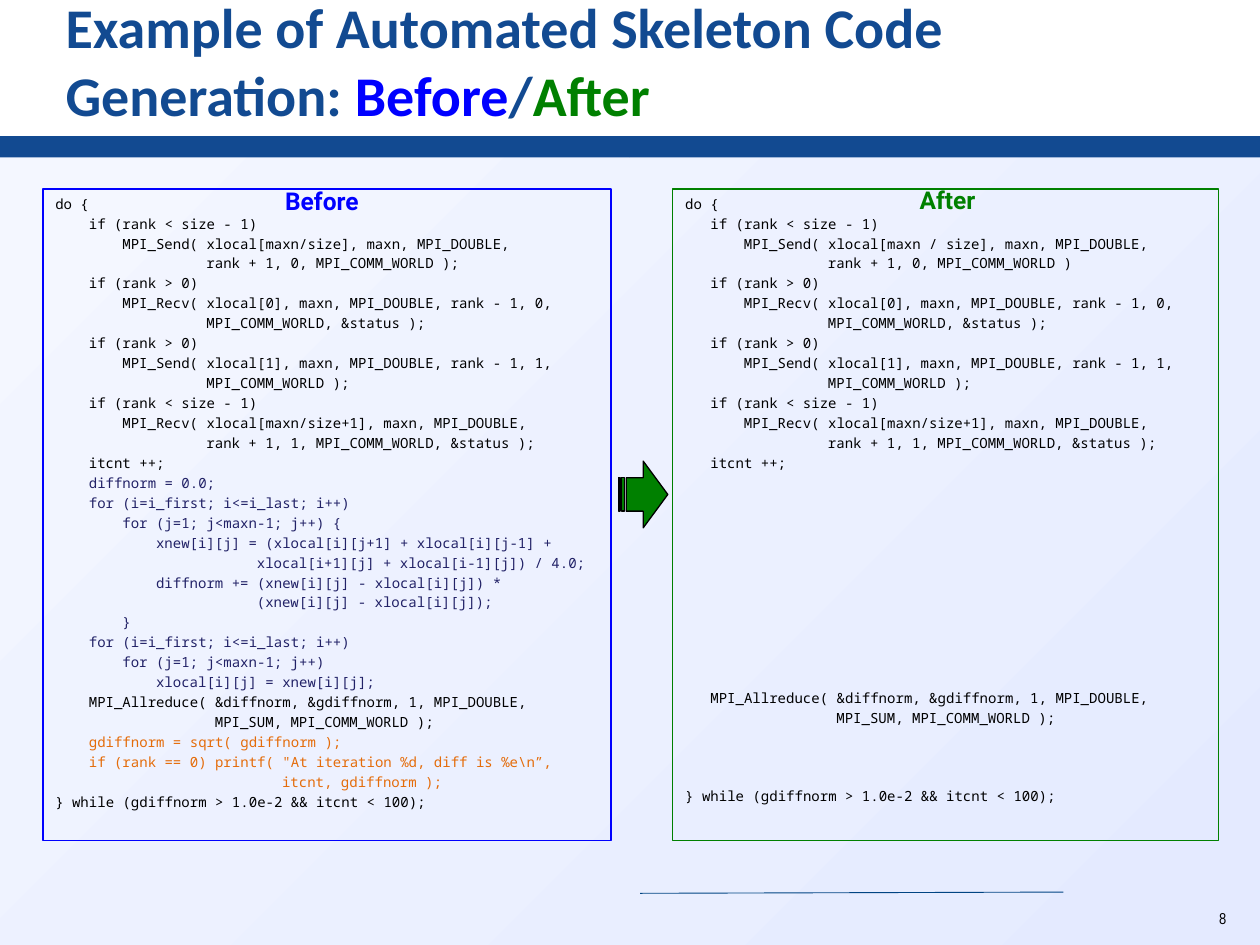
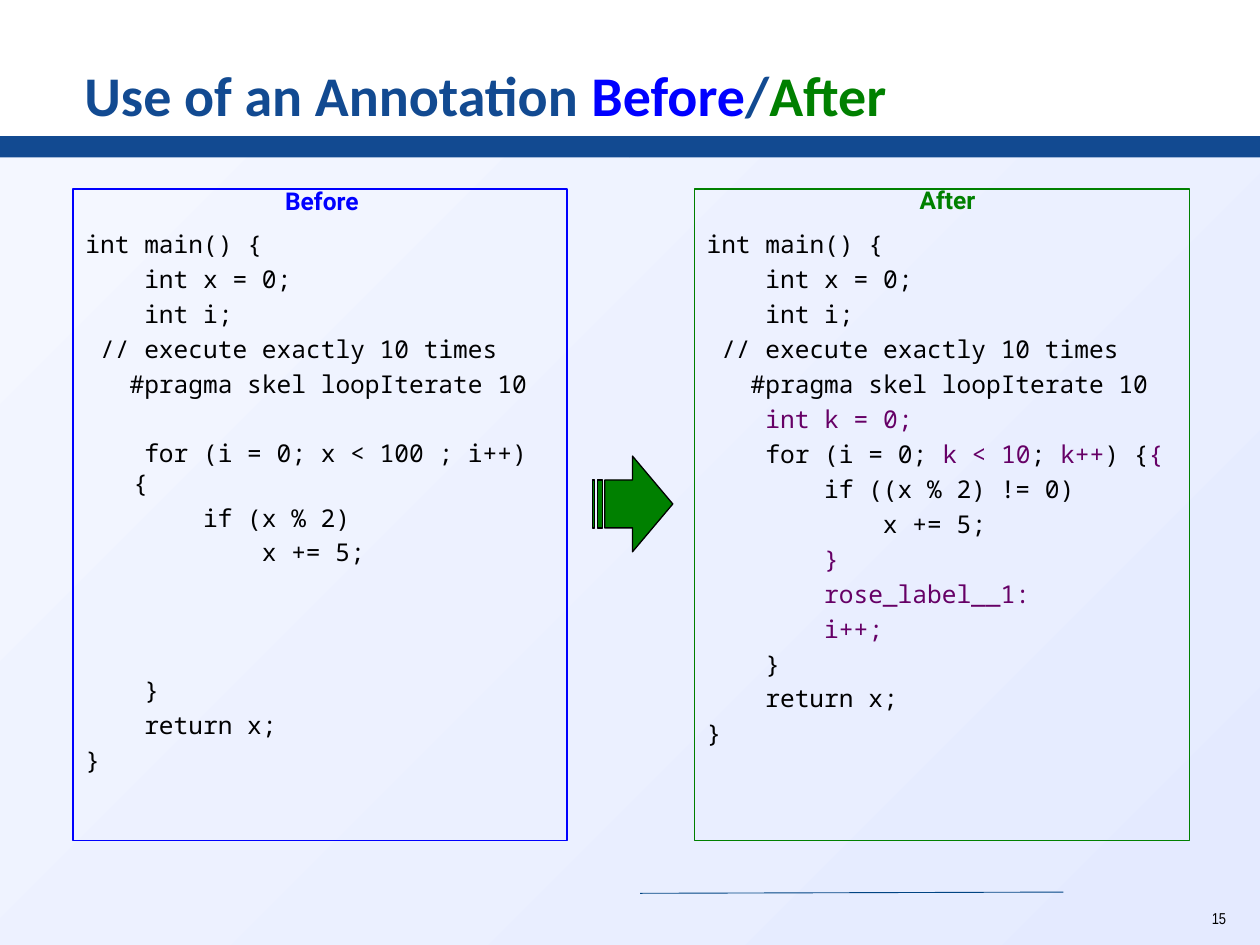
from pptx import Presentation
from pptx.dml.color import RGBColor as RGB
from pptx.enum.shapes import MSO_CONNECTOR as Link, MSO_SHAPE as Kind
from pptx.enum.text import MSO_ANCHOR as Anchor, MSO_AUTO_SIZE as Auto, PP_ALIGN as Align
from pptx.oxml.ns import qn
from pptx.util import Inches, Pt
from lxml.etree import SubElement

NAVY = RGB(0x12, 0x4A, 0x91)
RULE = RGB(0x00, 0x44, 0x83)
BLUE = RGB(0x00, 0x00, 0xFF)
GREEN = RGB(0x00, 0x80, 0x00)
BLACK = RGB(0x00, 0x00, 0x00)
INDIGO = RGB(0x22, 0x22, 0x67)
ORANGE = RGB(0xE4, 0x6C, 0x0A)
PURPLE = RGB(0x66, 0x00, 0x66)
PALE = RGB(0xF4, 0xF7, 0xFF)
MIST = RGB(0xE4, 0xEA, 0xFF)
HEAD, MONO, LABEL, SMALL = "Calibri", "Noto Sans Mono", "Roboto", "Arial Narrow"

HANG = 0.38    # where a wrapped code line starts, in inches
GLYPH = 0.6    # character width of the mono font, in ems
LINE = 1.17    # line height of the mono font, in ems
LEAD = 0.225   # space above each code line, in ems

# Code is a stream of (colour, text); an empty line stands for a gap.
SWAP = r"""do {
    if (rank < size - 1)
        MPI_Send( xlocal[maxn/size], maxn, MPI_DOUBLE,
                  rank + 1, 0, MPI_COMM_WORLD );
    if (rank > 0)
        MPI_Recv( xlocal[0], maxn, MPI_DOUBLE, rank - 1, 0,
                  MPI_COMM_WORLD, &status );
    if (rank > 0)
        MPI_Send( xlocal[1], maxn, MPI_DOUBLE, rank - 1, 1,
                  MPI_COMM_WORLD );
    if (rank < size - 1)
        MPI_Recv( xlocal[maxn/size+1], maxn, MPI_DOUBLE,
                  rank + 1, 1, MPI_COMM_WORLD, &status );
    itcnt ++;
"""
SOLVE = r"""    diffnorm = 0.0;
    for (i=i_first; i<=i_last; i++)
        for (j=1; j<maxn-1; j++) {
            xnew[i][j] = (xlocal[i][j+1] + xlocal[i][j-1] +
                        xlocal[i+1][j] + xlocal[i-1][j]) / 4.0;
            diffnorm += (xnew[i][j] - xlocal[i][j]) *
                        (xnew[i][j] - xlocal[i][j]);
        }
    for (i=i_first; i<=i_last; i++)
        for (j=1; j<maxn-1; j++)
            xlocal[i][j] = xnew[i][j];
"""
REDUCE = r"""    MPI_Allreduce( &diffnorm, &gdiffnorm, 1, MPI_DOUBLE,
                   MPI_SUM, MPI_COMM_WORLD );
"""
REPORT = r"""    gdiffnorm = sqrt( gdiffnorm );
    if (rank == 0) printf( "At iteration %d, diff is %e\n”,
                           itcnt, gdiffnorm );
"""
LOOP = "} while (gdiffnorm > 1.0e-2 && itcnt < 100);"
START = r"""int main() {
    int x = 0;
    int i;
 // execute exactly 10 times
   #pragma skel loopIterate 10
"""
FINISH = r"""    }
    return x;
}"""


def shift(text):
    """Take one column off every indented line."""
    return "\n".join(row.removeprefix(" ") for row in text.split("\n"))


def blank(text):
    """Give as many empty lines as the text has lines."""
    return "\n" * text.count("\n")


FULL = [(BLACK, SWAP), (INDIGO, SOLVE), (BLACK, REDUCE), (ORANGE, REPORT), (BLACK, LOOP)]
BARE = [(BLACK, shift(SWAP).replace("maxn/size]", "maxn / size]")
         .replace("0, MPI_COMM_WORLD );", "0, MPI_COMM_WORLD )")
         + blank(SOLVE) + shift(REDUCE) + blank(REPORT) + LOOP)]
PLAIN = [(BLACK, START + r"""
    for (i = 0; x < 100 ; i++) {
        if (x % 2)
            x += 5;



""" + FINISH)]
NOTED = [
    (BLACK, START), (PURPLE, "    int k = 0;\n"),
    (BLACK, "    for (i = 0; "), (PURPLE, "k < 10"), (BLACK, "; "),
    (PURPLE, "k++"), (BLACK, ") {"), (PURPLE, "{\n"),
    (BLACK, "        if ((x % 2) != 0)\n            x += 5;\n"),
    (PURPLE, "        }\n        rose_label__1:\n        i++;\n"),
    (BLACK, FINISH),
]


def place(box):
    """Turn left, top, width, height into lengths."""
    return [Inches(n) for n in box]


def write(para, text, size, face, hue, bold=False):
    """Add one formatted run."""
    run = para.add_run()
    run.text = text
    font = run.font
    font.size, font.name, font.bold = Pt(size), face, bold
    font.color.rgb = hue


def shape(slide, kind, box, fill=None, line=None):
    """Add a preset shape with a plain fill and a thin line, or without them."""
    item = slide.shapes.add_shape(kind, *place(box))
    item.shadow.inherit = False
    if fill is None:
        item.fill.background()
    else:
        item.fill.solid()
        item.fill.fore_color.rgb = fill
    if line is None:
        item.line.fill.background()
    else:
        item.line.color.rgb = line
        item.line.width = Pt(0.75)
    return item


def frame(slide, page):
    """Draw the backdrop, band, footer rule and page number."""
    back = shape(slide, Kind.RECTANGLE, (0, 1.17, 10, 6.33), PALE)
    back.fill.gradient()
    back.fill.gradient_angle = 315
    for stop, hue, spot in zip(back.fill.gradient_stops, (PALE, MIST), (0, 1)):
        stop.color.rgb, stop.position = hue, spot
    for left in (0, 5):
        shape(slide, Kind.RECTANGLE, (left, 1.08, 5, 0.17), NAVY)
    rule = slide.shapes.add_connector(Link.STRAIGHT, *place((5.08, 7.09, 8.44, 7.08)))
    rule.line.color.rgb = RULE
    rule.line.width = Pt(0.5)
    SubElement(rule.element.spPr, qn("a:effectLst"))
    text = slide.shapes.add_textbox(*place((9.49, 7.2, 0.34, 0.21))).text_frame
    text.word_wrap, text.margin_left = True, 0
    para = text.paragraphs[0]
    para.alignment, para.line_spacing = Align.RIGHT, 0.75
    write(para, str(page), 9, SMALL, BLACK)


def title(slide, text, box):
    """Place the title, which ends in Before/After."""
    head = slide.shapes.title
    head.left, head.top, head.width, head.height = place(box)
    body = head.text_frame
    body.auto_size, body.word_wrap = Auto.NONE, True
    body.vertical_anchor, body.margin_left = Anchor.BOTTOM, 0
    para = body.paragraphs[0]
    para.alignment = Align.LEFT
    for part, hue in ((text, NAVY), ("Before", BLUE), ("/", NAVY), ("After", GREEN)):
        write(para, part, 32, HEAD, hue, True)


def label(slide, text, hue, box):
    """Write the heading of a panel."""
    body = slide.shapes.add_textbox(*place(box)).text_frame
    body.word_wrap = False
    para = body.paragraphs[0]
    para.alignment = Align.CENTER
    write(para, text, 14, LABEL, hue, True)


def split(code):
    """Sort the stream of coloured text into lines of runs."""
    rows = [[]]
    for hue, text in code:
        for num, part in enumerate(text.split("\n")):
            if num:
                rows.append([])
            if part:
                rows[-1].append((hue, part))
    return rows


def panel(slide, box, hue, code, size, skip=0):
    """Draw a framed code listing that starts below some skipped lines."""
    body = shape(slide, Kind.RECTANGLE, box, line=hue).text_frame
    body.word_wrap, body.vertical_anchor = True, Anchor.TOP
    pitch = size * (LINE + LEAD)
    pitch = size * (LINE + LEAD)
    body.margin_top = Inches(0.05) + Pt(skip * pitch)
    para, gap = body.paragraphs[0], 0
    for num, row in enumerate(split(code)):
        if not row:
            gap += 1
            continue
        if num:
            para = body.add_paragraph()
        first = row[0][1]
        column = len(first) - len(first.lstrip())
        para.alignment = Align.LEFT
        para.space_before = Pt(size * LEAD + gap * pitch)
        props = para._p.get_or_add_pPr()
        props.set("marL", str(Inches(HANG)))
        props.set("indent", str(Pt(column * GLYPH * size) - Inches(HANG)))
        for spot, (tint, text) in enumerate(row):
            write(para, text if spot else text.lstrip(), size, MONO, tint)
        gap = 0


def pair(deck, page, head, spot, panels, size, skip, arrow):
    """Build a slide that sets code before and after side by side."""
    slide = deck.slides.add_slide(deck.slide_layouts[5])
    frame(slide, page)
    title(slide, head, spot)
    for (left, width, code), hue in zip(panels, (BLUE, GREEN)):
        panel(slide, (left, 1.5, width, 5.17), hue, code, size, skip)
    label(slide, "Before", BLUE, (2.14, 1.43, 0.83, 0.34))
    label(slide, "After", GREEN, (7.19, 1.42, 0.66, 0.34))
    shape(slide, Kind.STRIPED_RIGHT_ARROW, arrow, GREEN, BLACK)


deck = Presentation()
deck.slide_width, deck.slide_height = Inches(10), Inches(7.5)
pair(deck, 8, "Example of Automated Skeleton Code Generation: ", (0.52, 0.17, 9.2, 0.89),
     ((0.34, 4.51, FULL), (5.34, 4.33, BARE)), 8, 0, (4.91, 3.66, 0.39, 0.53))
pair(deck, 15, "Use of an Annotation ", (0.67, 0.17, 8.69, 0.89),
     ((0.58, 3.92, PLAIN), (5.51, 3.93, NOTED)), 14, 1, (4.7, 3.62, 0.64, 0.76))
deck.save("out.pptx")
